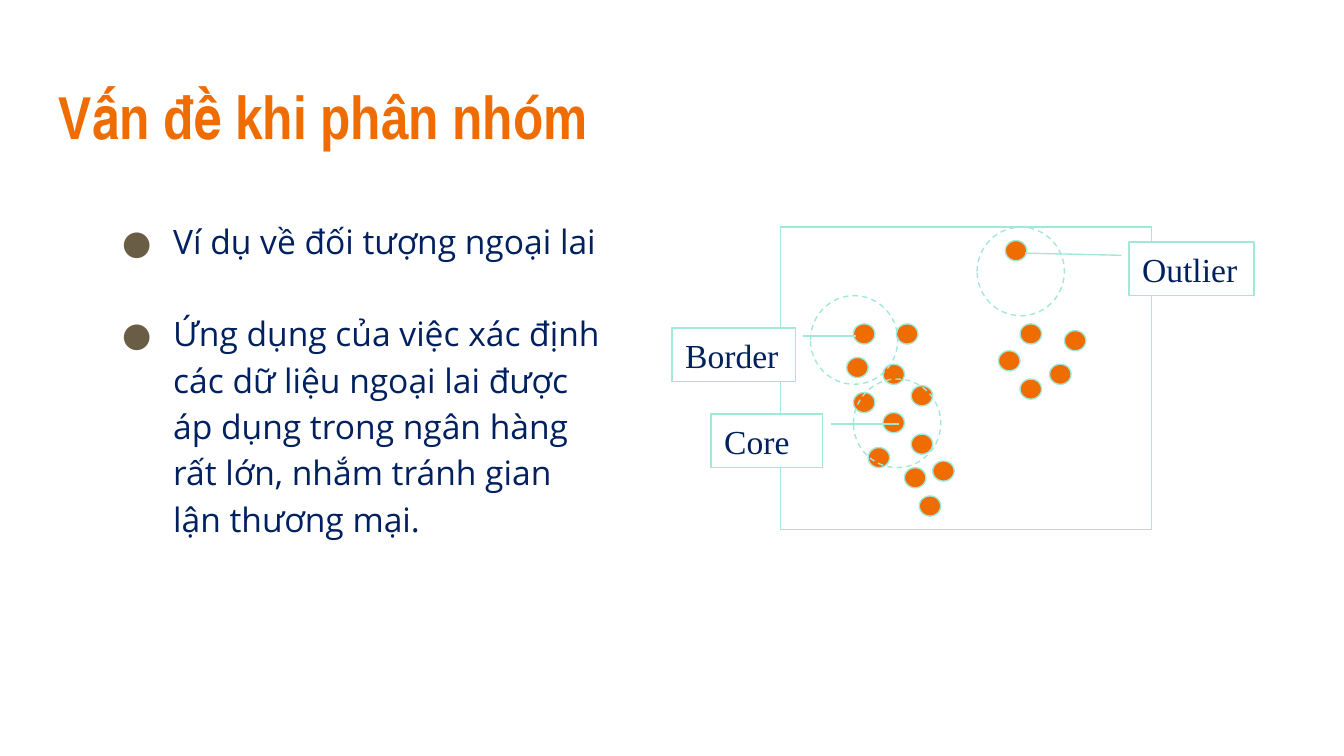
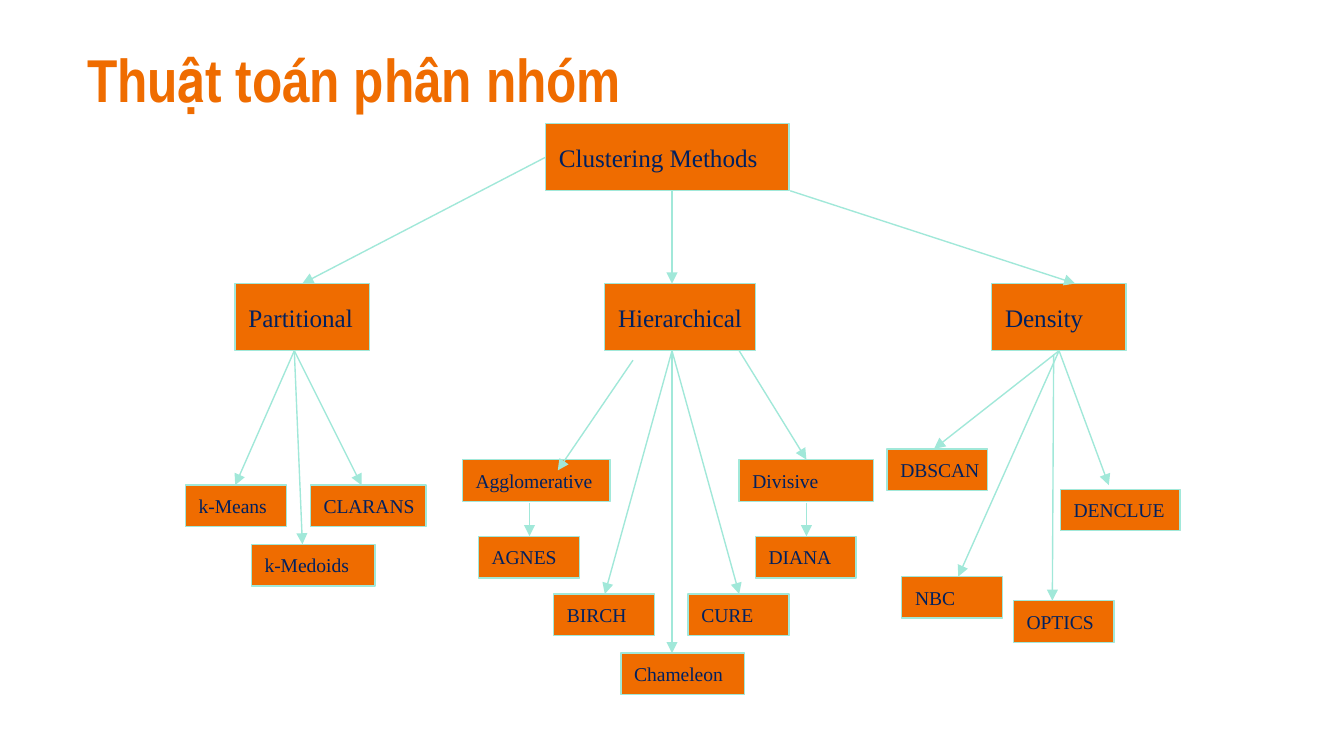
from dataclasses import dataclass
from typing import Optional

from lxml import etree
from pptx import Presentation
from pptx.dml.color import RGBColor
from pptx.enum.dml import MSO_LINE
from pptx.enum.shapes import MSO_CONNECTOR, MSO_SHAPE
from pptx.enum.text import MSO_ANCHOR, MSO_AUTO_SIZE, PP_ALIGN
from pptx.oxml.ns import qn
from pptx.util import Inches, Pt

RECT = MSO_SHAPE.RECTANGLE
OVAL = MSO_SHAPE.OVAL
CALLOUT = MSO_SHAPE.LINE_CALLOUT_1
STRAIGHT = MSO_CONNECTOR.STRAIGHT
DASH = MSO_LINE.DASH
LEFT = PP_ALIGN.LEFT
TOP = MSO_ANCHOR.TOP
MIDDLE = MSO_ANCHOR.MIDDLE
FIT_SHAPE = MSO_AUTO_SIZE.SHAPE_TO_FIT_TEXT

ORANGE = "EF6C00"
MINT = "A1E8D9"
NAVY = "002060"
BROWN = "695D46"
WHITE = "FFFFFF"
TITLE_FONT = "Arial Narrow"
BODY_FONT = "Open Sans"
LABEL_FONT = "Times New Roman"
LINE_WIDTH = Pt(0.75)
SLIDE_WIDTH = 10

Point = tuple[float, float]
Box = tuple[float, float, float, float]


@dataclass(frozen=True)
class Callout:
    text: str
    box: Box
    adjustments: tuple[float, ...]


@dataclass(frozen=True)
class Level:
    height: float
    size: float


@dataclass(frozen=True)
class Node:
    text: str
    left: float
    top: float
    width: float
    level: Level


@dataclass(frozen=True)
class Fan:
    start: Point
    ends: tuple[Point, ...]


BRANCH = Level(0.5, 13.5)
LEAF = Level(0.31, 10.5)

BULLETS = (
    "Ví dụ về đối tượng ngoại lai",
    "Ứng dụng của việc xác định các dữ liệu ngoại lai được áp dụng trong "
    "ngân hàng rất lớn, nhắm tránh gian lận thương mại.",
)

DOTS = (
    (6.35, 2.41), (6.3, 2.66), (6.57, 2.71), (6.67, 2.41), (6.78, 2.87),
    (6.35, 2.92), (6.57, 3.07), (6.46, 3.33), (6.73, 3.48), (6.84, 3.69),
    (6.78, 3.23), (7.48, 1.79), (7.59, 2.41), (7.43, 2.61), (7.81, 2.71),
    (7.92, 2.46), (7.59, 2.82),
)
FRONT_DOT = (6.94, 3.43)
NEIGHBOURHOODS = ((6.03, 2.2), (6.35, 2.82), (7.27, 1.69))
CALLOUTS = (
    Callout("Core", (5.29, 3.08, 0.83, 0.4), (0.19, 1.08, 0.19, 1.69)),
    Callout("Border", (5, 2.44, 0.92, 0.4), (0.15, 1.06, 0.15, 1.49)),
    Callout("Outlier", (8.4, 1.8, 0.93, 0.4), (0.25, -0.06, 0.21, -0.83)),
)

NODES = (
    Node("Clustering Methods", 4.06, 0.92, 1.81, BRANCH),
    Node("Partitional", 1.75, 2.11, 1, BRANCH),
    Node("Hierarchical", 4.5, 2.11, 1.12, BRANCH),
    Node("Density", 7.38, 2.11, 1, BRANCH),
    Node("k-Means", 1.38, 3.61, 0.75, LEAF),
    Node("CLARANS", 2.31, 3.61, 0.86, LEAF),
    Node("k-Medoids", 1.87, 4.05, 0.92, LEAF),
    Node("Agglomerative", 3.44, 3.42, 1.1, LEAF),
    Node("AGNES", 3.56, 3.99, 0.75, LEAF),
    Node("Divisive", 5.5, 3.42, 1, LEAF),
    Node("DIANA", 5.62, 3.99, 0.75, LEAF),
    Node("BIRCH", 4.12, 4.42, 0.75, LEAF),
    Node("CURE", 5.12, 4.42, 0.75, LEAF),
    Node("Chameleon", 4.62, 4.86, 0.92, LEAF),
    Node("DBSCAN", 6.6, 3.34, 0.75, LEAF),
    Node("DENCLUE", 7.89, 3.64, 0.89, LEAF),
    Node("NBC", 6.71, 4.29, 0.75, LEAF),
    Node("OPTICS", 7.54, 4.47, 0.75, LEAF),
)

FANS = (
    Fan((4.06, 1.17), ((2.25, 2.11),)),
    Fan((5, 1.42), ((5, 2.11),)),
    Fan((5.88, 1.42), ((8, 2.11),)),
    Fan((2.19, 2.61), ((1.75, 3.61), (2.69, 3.61), (2.25, 4.05))),
    Fan((4.71, 2.68), ((4.15, 3.5),)),
    Fan((5.5, 2.61), ((6, 3.42),)),
    Fan((3.94, 3.74), ((3.94, 3.99),)),
    Fan((6, 3.74), ((6, 3.99),)),
    Fan((5, 2.61), ((4.5, 4.42), (5.5, 4.42), (5, 4.86))),
    Fan((7.88, 2.61), ((7.13, 4.29), (6.95, 3.34), (8.25, 3.61))),
    Fan((7.84, 2.64), ((7.83, 4.47),)),
)


def rgb(color: str) -> RGBColor:
    return RGBColor.from_string(color)


def add_run(p, text: str, size: float, font: str, color: str, bold: bool = False) -> None:
    r = p.add_run()
    r.text = text
    r.font.size = Pt(size)
    r.font.name = font
    r.font.bold = bold
    r.font.color.rgb = rgb(color)


def add_text_frame(s, box: Box):
    tf = s.shapes.add_textbox(*map(Inches, box)).text_frame
    tf.word_wrap = True
    tf.margin_left = tf.margin_right = Inches(0.1)
    tf.margin_top = tf.margin_bottom = Inches(0.1)
    return tf


def add_title(s, text: str, box: Box) -> None:
    tf = add_text_frame(s, box)
    add_run(tf.paragraphs[0], text, 32.4, TITLE_FONT, ORANGE, bold=True)


def add_bullets(s, texts: tuple[str, ...], box: Box) -> None:
    tf = add_text_frame(s, box)
    for i, text in enumerate(texts):
        p = tf.add_paragraph() if i else tf.paragraphs[0]
        p.line_spacing = 1.15
        if i:
            p.space_before = Pt(24.5)
        pPr = p._p.get_or_add_pPr()
        pPr.set("marL", str(Inches(0.5)))
        pPr.set("indent", str(Inches(-0.38)))
        clr = etree.SubElement(pPr, qn("a:buClr"))
        etree.SubElement(clr, qn("a:srgbClr"), val=BROWN)
        etree.SubElement(pPr, qn("a:buFont"), typeface=BODY_FONT)
        etree.SubElement(pPr, qn("a:buChar"), char="●")
        add_run(p, text, 18, BODY_FONT, NAVY)


def add_outlined(s, kind, box: Box, fill: Optional[str] = None):
    sp = s.shapes.add_shape(kind, *map(Inches, box))
    sp.shadow.inherit = False
    if fill:
        sp.fill.solid()
        sp.fill.fore_color.rgb = rgb(fill)
    else:
        sp.fill.background()
    sp.line.color.rgb = rgb(MINT)
    sp.line.width = LINE_WIDTH
    return sp


def add_label(sp, text: str, size: float, anchor, wrap: bool) -> None:
    tf = sp.text_frame
    tf.word_wrap = wrap
    tf.vertical_anchor = anchor
    p = tf.paragraphs[0]
    p.alignment = LEFT
    add_run(p, text, size, LABEL_FONT, NAVY)


def add_dot(s, at: Point) -> None:
    add_outlined(s, OVAL, (*at, 0.16, 0.15), ORANGE)


def add_callout(s, callout: Callout) -> None:
    sp = add_outlined(s, CALLOUT, callout.box, WHITE)
    for i, value in enumerate(callout.adjustments):
        sp.adjustments[i] = value
    add_label(sp, callout.text, 18, TOP, wrap=True)
    sp.text_frame.auto_size = FIT_SHAPE


def add_node(s, node: Node) -> None:
    box = (node.left, node.top, node.width, node.level.height)
    sp = add_outlined(s, RECT, box, ORANGE)
    add_label(sp, node.text, node.level.size, MIDDLE, wrap=False)


def add_arrow(s, start: Point, end: Point) -> None:
    cxn = s.shapes.add_connector(STRAIGHT, *map(Inches, (*start, *end)))
    cxn.line.color.rgb = rgb(MINT)
    cxn.line.width = LINE_WIDTH
    spPr = cxn._element.spPr
    etree.SubElement(spPr.find(qn("a:ln")), qn("a:tailEnd"), type="triangle")
    etree.SubElement(spPr, qn("a:effectLst"))


def build_outliers(s) -> None:
    add_bullets(s, BULLETS, (0.69, 1.5, 3.92, 3.15))
    for at in DOTS:
        add_dot(s, at)
    add_outlined(s, RECT, (5.81, 1.69, 2.76, 2.25))
    for at in NEIGHBOURHOODS:
        add_outlined(s, OVAL, (*at, 0.65, 0.66)).line.dash_style = DASH
    for callout in CALLOUTS:
        add_callout(s, callout)
    add_dot(s, FRONT_DOT)
    add_title(s, "Vấn đề khi phân nhóm", (0.34, 0.49, 9.32, 0.77))


def build_methods(s) -> None:
    add_title(s, "Thuật toán phân nhóm", (0.55, 0.21, 4.28, 0.61))
    for node in NODES:
        add_node(s, node)
    for fan in FANS:
        for end in fan.ends:
            add_arrow(s, fan.start, end)


def main() -> None:
    prs = Presentation()
    prs.slide_width = Inches(SLIDE_WIDTH)
    prs.slide_height = Inches(SLIDE_WIDTH * 9 / 16)
    for build in (build_outliers, build_methods):
        build(prs.slides.add_slide(prs.slide_layouts[6]))
    prs.save("out.pptx")


if __name__ == "__main__":
    main()
